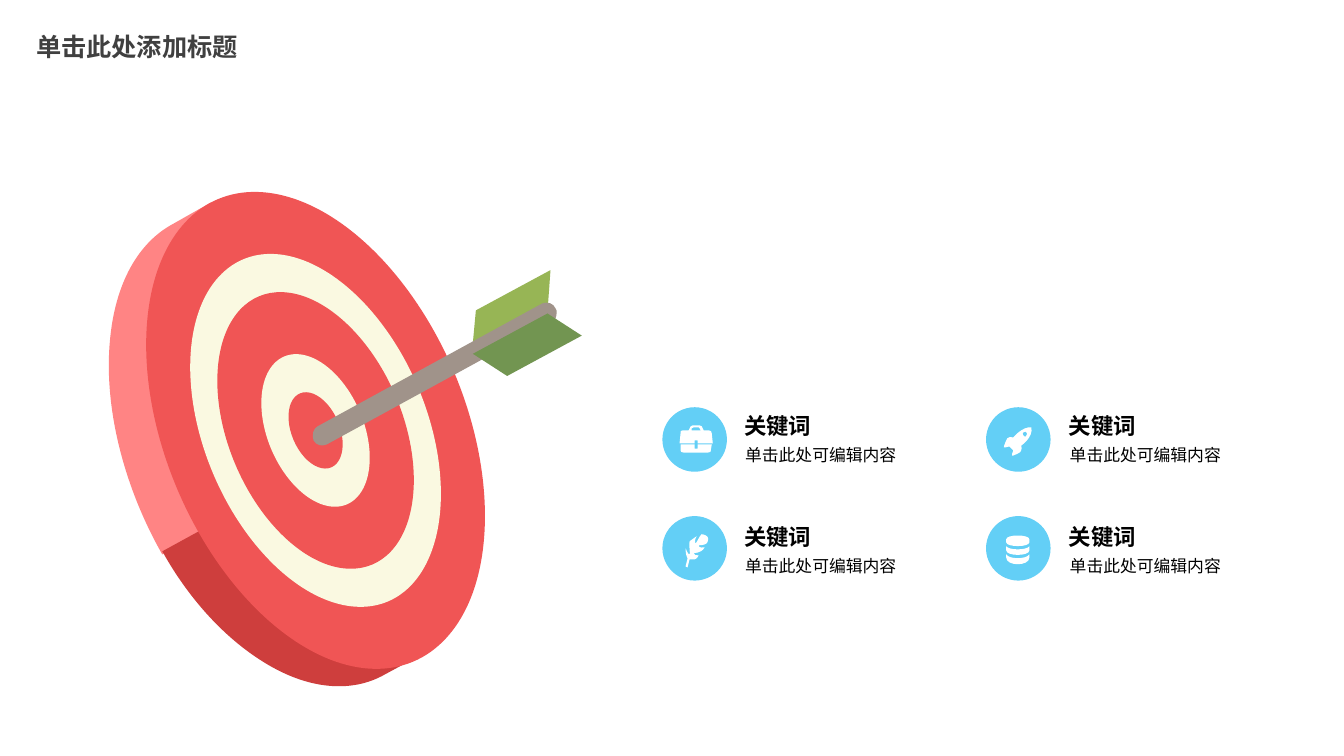
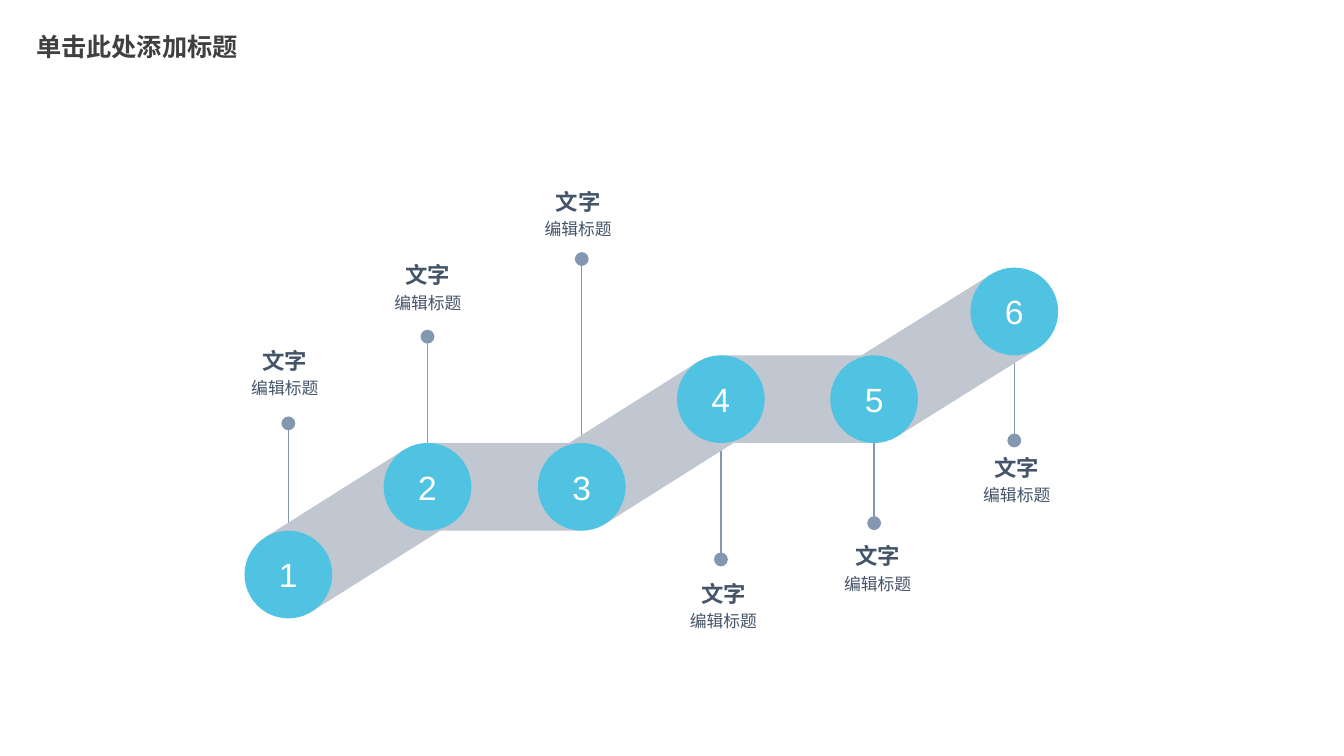
from math import atan2, degrees, hypot
from lxml import etree
from pptx import Presentation
from pptx import util as u
from pptx.dml import color
from pptx.enum import shapes, text
from pptx.oxml import ns

HEX = {
    "title": "404040", "black": "000000", "white": "FFFFFF",
    "rim": "FF8484", "shade": "CE3E3D", "face": "F05555", "cream": "FAF9E1",
    "vane": "97B555", "shaft": "A0938A", "leaf": "729551",
    "icon": "63CFF6", "slate": "445469", "pin": "8497B0",
    "band": "C1C7D0", "step": "50C2E2",
}
CJK = "Noto Sans CJK SC"
STYLES = {
    "title": {"name": CJK, "size": 18, "bold": True, "color": "title"},
    "key": {"name": "Calibri", "size": 16, "bold": True, "color": "black"},
    "note": {"name": "Calibri", "size": 12, "bold": False, "color": "black"},
    "word": {"name": "Arial", "size": 16, "bold": True, "color": "slate"},
    "sub": {"name": "Arial", "size": 12, "bold": False, "color": "slate"},
    "step": {"name": "Arial", "size": 24, "bold": False, "color": "white"},
}
TITLE = "单击此处添加标题"

SIDE = [
    ("rim", "M 1.09 3.39 C 1.14 2.8 1.38 2.4 1.72 2.22 L 2.09 2.01 L 2.94 2.37 "
            "L 4.2 4.09 L 1.61 5.5 C 1.24 4.85 1.03 4.07 1.09 3.39"),
    ("shade", "M 2.57 6.54 C 2.2 6.3 1.86 5.92 1.61 5.47 L 4.2 4.05 L 4.15 6.37 "
              "L 4.19 6.49 L 3.82 6.69 C 3.49 6.88 3.04 6.85 2.57 6.54"),
]
RINGS = [("face", 1), ("cream", 0.74), ("face", 0.58), ("cream", 0.32), ("face", 0.16)]
HUB, WIDE, TALL, TILT = (3.13, 4.27), 2.98, 4.98, -22.9
ARROW = [
    ("vane", "M 4.72 3.08 L 5.46 2.68 L 5.43 3.1 L 4.68 3.51"),
    ("shaft", "M 5.51 3.16 C 5.52 3.13 5.53 3.08 5.51 3.06 C 5.49 3.01 5.43 2.99 5.38 3.01 "
              "L 3.15 4.23 C 3.11 4.25 3.09 4.31 3.11 4.37 C 3.14 4.42 3.19 4.43 3.24 4.41 "
              "L 5.47 3.19"),
    ("leaf", "M 5.77 3.33 L 5.43 3.11 L 4.69 3.51 L 5.03 3.73"),
]
CASE = (
    "M 6.89 4.37 L 6.92 4.37 L 6.92 4.4 L 7.07 4.4 L 7.06 4.3 "
    "C 7.06 4.28 7.05 4.27 7.03 4.27 L 6.98 4.27 L 6.96 4.23 L 6.94 4.22 "
    "L 6.87 4.22 L 6.85 4.23 L 6.83 4.27 L 6.77 4.27 "
    "C 6.75 4.27 6.75 4.28 6.75 4.3 L 6.74 4.4 L 6.89 4.4 "
    "M 6.86 4.25 L 6.88 4.24 L 6.93 4.24 L 6.94 4.25 L 6.95 4.27 L 6.86 4.27 "
    "M 6.92 4.45 L 6.89 4.45 L 6.89 4.41 L 6.75 4.41 L 6.75 4.47 "
    "C 6.75 4.48 6.76 4.49 6.78 4.49 L 7.02 4.49 C 7.05 4.49 7.05 4.48 7.05 4.47 "
    "L 7.06 4.41 L 6.92 4.41")
ROCKET = (
    "M 10.13 4.42 C 10.13 4.42 10.25 4.34 10.23 4.24 C 10.14 4.23 10.05 4.34 10.05 4.34 "
    "C 9.98 4.33 9.99 4.35 9.96 4.42 C 9.95 4.44 9.96 4.44 9.97 4.44 "
    "L 10.01 4.43 L 10.05 4.47 L 10.04 4.5 "
    "C 10.03 4.52 10.04 4.53 10.05 4.52 C 10.12 4.49 10.14 4.49 10.13 4.42 "
    "M 10.15 4.32 C 10.14 4.31 10.14 4.3 10.15 4.29 C 10.16 4.28 10.18 4.28 10.18 4.29 "
    "C 10.19 4.3 10.19 4.31 10.18 4.32 C 10.18 4.34 10.16 4.34 10.15 4.32")
QUILL = (
    "M 6.82 5.63 L 6.84 5.55 C 6.88 5.55 6.91 5.56 6.93 5.51 "
    "C 6.91 5.52 6.88 5.5 6.88 5.49 C 6.88 5.48 6.95 5.5 6.99 5.43 "
    "C 6.94 5.44 6.92 5.42 6.93 5.41 C 6.94 5.41 6.99 5.41 7.01 5.39 "
    "C 7.02 5.38 7.03 5.34 7.02 5.33 C 7.02 5.32 6.98 5.3 6.96 5.3 "
    "C 6.94 5.31 6.91 5.39 6.9 5.39 C 6.89 5.39 6.89 5.35 6.91 5.32 "
    "L 6.84 5.37 C 6.83 5.41 6.85 5.5 6.84 5.5 "
    "C 6.83 5.51 6.81 5.46 6.8 5.44 C 6.8 5.47 6.8 5.5 6.82 5.54 L 6.8 5.62")
DISKS = (
    "M 10.21 5.5 C 10.18 5.55 10.01 5.55 9.98 5.5 "
    "L 9.98 5.53 C 9.98 5.62 10.21 5.62 10.21 5.53 "
    "M 10.21 5.42 C 10.18 5.46 10.01 5.46 9.98 5.42 "
    "L 9.98 5.46 C 9.98 5.52 10.21 5.52 10.21 5.46 "
    "M 9.98 5.35 C 9.98 5.3 10.21 5.3 10.21 5.35 "
    "L 10.21 5.38 C 10.21 5.43 9.98 5.43 9.98 5.38")
ITEMS = [(icon, "关键词", "单击此处可编辑内容") for icon in (CASE, ROCKET, QUILL, DISKS)]

STEPS = [
    ("1", 2.86, 5.7, 4.2, 2.83, 3.44),
    ("2", 4.24, 4.83, 3.34, 4.25, 2.59),
    ("3", 5.77, 4.83, 2.57, 5.74, 1.86),
    ("4", 7.15, 3.96, 5.55, 7.18, 5.75),
    ("5", 8.67, 3.96, 5.19, 8.71, 5.38),
    ("6", 10.06, 3.09, 4.37, 10.09, 4.5),
]
WORD, SUB = "文字", "编辑标题"
DISC = 0.87


def rgb(key):
    return color.RGBColor.from_string(HEX[key])


def paint(shape, key):
    shape.shadow.inherit = False
    shape.fill.solid()
    shape.fill.fore_color.rgb = rgb(key)
    shape.line.fill.background()
    return shape


def write(shape, words, style, align, pad=(0, 0)):
    frame = shape.text_frame
    form = {"word_wrap": True, "vertical_anchor": text.MSO_ANCHOR.MIDDLE,
            "margin_left": u.Inches(pad[0]), "margin_right": u.Inches(pad[0]),
            "margin_top": u.Inches(pad[1]), "margin_bottom": u.Inches(pad[1])}
    for name, value in form.items():
        setattr(frame, name, value)
    para = frame.paragraphs[0]
    para.alignment = getattr(text.PP_ALIGN, align)
    run = para.add_run()
    run.text = words
    look = STYLES[style]
    for name in ("name", "bold"):
        setattr(run.font, name, look[name])
    run.font.size = u.Pt(look["size"])
    run.font.color.rgb = rgb(look["color"])
    east = etree.Element(ns.qn("a:ea"), typeface=CJK)
    run.font._element.find(ns.qn("a:latin")).addnext(east)


def label(slide, words, style, box, align="LEFT", pad=(0, 0)):
    write(slide.shapes.add_textbox(*map(u.Inches, box)), words, style, align, pad)


def block(slide, kind, box, key):
    return paint(slide.shapes.add_shape(kind, *map(u.Inches, box)), key)


def bend(shape, kinds):
    nodes = iter(list(shape._element.iter(ns.qn("a:lnTo"))))
    for kind in kinds:
        node = next(nodes)
        if kind == "C":
            node.addprevious(etree.Element(ns.qn("a:cubicBezTo")))
            curve = node.getprevious()
            for knot in (node, next(nodes), next(nodes)):
                curve.append(knot[0])
                knot.getparent().remove(knot)


def draw(slide, outline, key):
    pen = None
    for loop in outline.split("M")[1:]:
        nums = [u.Inches(float(n)) for n in loop.split() if n not in "CL"]
        first, *rest = zip(nums[::2], nums[1::2])
        if pen:
            pen.move_to(*first)
        else:
            pen = slide.shapes.build_freeform(*first)
        pen.add_line_segments(rest, close=True)
    shape = paint(pen.convert_to_shape(), key)
    bend(shape, [mark for mark in outline if mark in "CL"])


def pin(slide, x, top, end):
    line = slide.shapes.add_connector(
        shapes.MSO_CONNECTOR.STRAIGHT, *map(u.Inches, (x, top, x, end)))
    line.line.color.rgb = rgb("pin")
    line.line.width = u.Pt(1)
    etree.SubElement(line.line._get_or_add_ln(), ns.qn("a:headEnd"),
                     type="oval", w="lg", len="lg")
    etree.SubElement(line._element.spPr, ns.qn("a:effectLst"))


def start(deck):
    slide = deck.slides.add_slide(deck.slide_layouts[6])
    label(slide, TITLE, "title", (0.26, 0.26, 2.41, 0.4), pad=(0.1, 0.05))
    return slide


def target(slide):
    for key, outline in SIDE:
        draw(slide, outline, key)
    for key, part in RINGS:
        w, h = WIDE * part, TALL * part
        box = (HUB[0] - w / 2, HUB[1] - h / 2, w, h)
        block(slide, shapes.MSO_SHAPE.OVAL, box, key).rotation = TILT
    for key, outline in ARROW:
        draw(slide, outline, key)


def goals(deck):
    slide = start(deck)
    target(slide)
    for i, (icon, word, note) in enumerate(ITEMS):
        row, col = divmod(i, 2)
        x, y = 7.38 + 3.22 * col, 4.09 + 1.1 * row
        disc = (6.57 + 3.21 * col, 4.04 + 1.08 * row, 0.64, 0.64)
        block(slide, shapes.MSO_SHAPE.OVAL, disc, "icon")
        draw(slide, icon, "white")
        label(slide, word, "key", (x, y, 0.93, 0.27))
        label(slide, note, "note", (x + 0.01, y + 0.32, 1.89, 0.2))


def climb(deck):
    slide = start(deck)
    for _, x, y, tip, mid, top in STEPS:
        pin(slide, x, tip, y)
        label(slide, WORD, "word", (mid - 0.47, top, 0.93, 0.27), "CENTER")
        label(slide, SUB, "sub", (mid - 0.84, top + 0.31, 1.67, 0.2), "CENTER")
    for (_, x, y, *_), (_, nx, ny, *_) in zip(STEPS, STEPS[1:]):
        span = hypot(nx - x, ny - y)
        box = ((x + nx - span) / 2, (y + ny - DISC) / 2, span, DISC)
        band = block(slide, shapes.MSO_SHAPE.RECTANGLE, box, "band")
        band.rotation = degrees(atan2(ny - y, nx - x))
    for num, x, y, *_ in STEPS:
        box = (x - DISC / 2, y - DISC / 2, DISC, DISC)
        disc = block(slide, shapes.MSO_SHAPE.OVAL, box, "step")
        write(disc, num, "step", "CENTER", (0.1, 0.05))


def main():
    deck = Presentation()
    deck.slide_width, deck.slide_height = u.Inches(13.33), u.Inches(7.5)
    goals(deck)
    climb(deck)
    deck.save("out.pptx")


if __name__ == "__main__":
    main()
